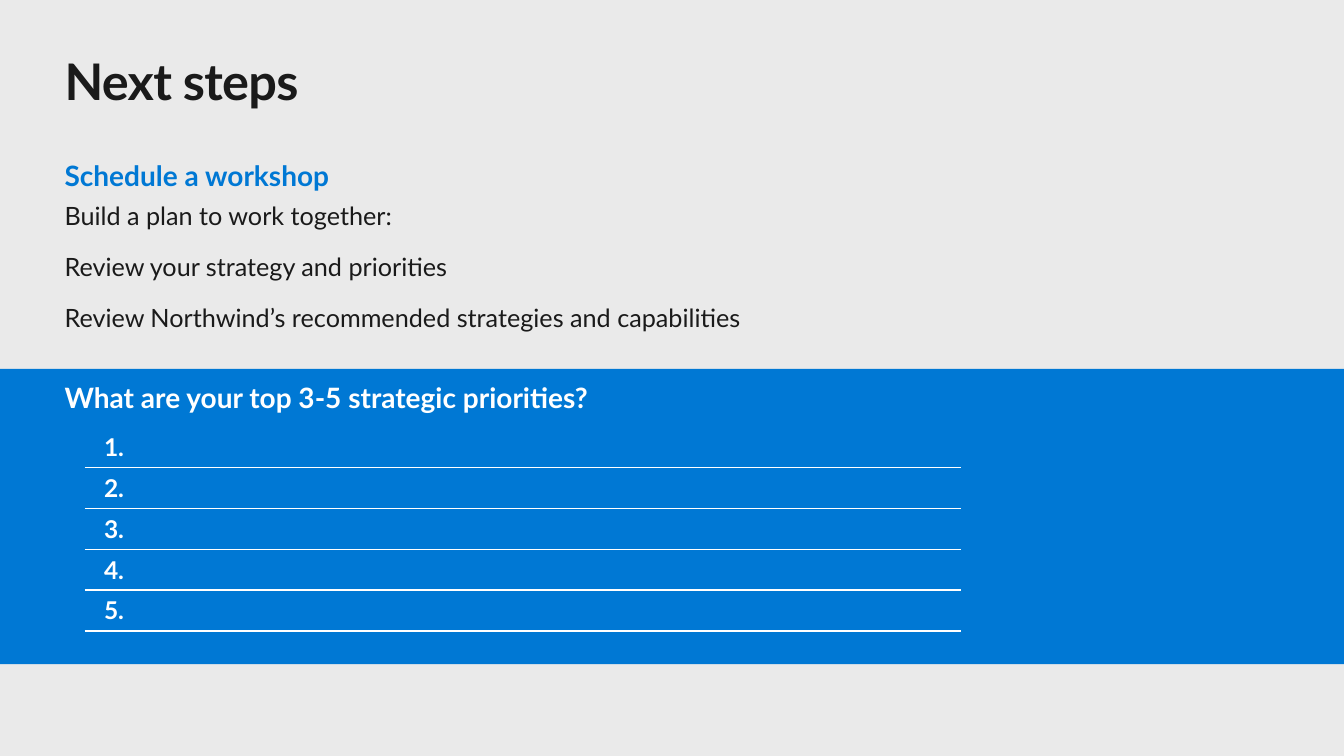
from lxml import etree
from pptx import Presentation
from pptx.dml.color import RGBColor
from pptx.enum.shapes import MSO_SHAPE
from pptx.enum.text import MSO_ANCHOR, PP_ALIGN
from pptx.oxml.ns import qn
from pptx.util import Inches, Pt

RECTANGLE = MSO_SHAPE.RECTANGLE
MIDDLE = MSO_ANCHOR.MIDDLE
RIGHT = PP_ALIGN.RIGHT

GREY = RGBColor(0xEA, 0xEA, 0xEA)
BLUE = RGBColor(0x00, 0x78, 0xD4)
DARK = RGBColor(0x1A, 0x1A, 0x1A)
WHITE = RGBColor(0xFF, 0xFF, 0xFF)

FONT = "Lato"
LEFT = 0.64
PRIORITY_COUNT = 5

# text, size, colour, bold, space before, space after
BODY = [
    ("Schedule a workshop", 20, BLUE, True, 0, 0),
    ("Build a plan to work together:", 18, DARK, False, 6, 12),
    ("Review your strategy and priorities", 18, DARK, False, 2.9, 12),
    ("Review Northwind’s recommended strategies and capabilities",
     18, DARK, False, 2.9, 30),
    ("What are your top 3-5 strategic priorities?", 20, WHITE, True, 4, 12),
]


def set_font(paragraph, size, color, bold):
    font = paragraph.font
    font.name = FONT
    font.size = Pt(size)
    font.bold = bold
    font.color.rgb = color


def add_band(slide, top, width, height):
    band = slide.shapes.add_shape(
        RECTANGLE, 0, Inches(top), width, Inches(height))
    band.shadow.inherit = False
    band.fill.solid()
    band.fill.fore_color.rgb = BLUE
    band.line.fill.background()


def add_text(slide, top, width, height, lines):
    box = slide.shapes.add_textbox(
        Inches(LEFT), Inches(top), Inches(width), Inches(height))
    frame = box.text_frame
    frame.word_wrap = True
    frame.margin_left = frame.margin_right = 0
    frame.margin_top = frame.margin_bottom = 0
    for index, (text, size, color, bold, before, after) in enumerate(lines):
        paragraph = frame.add_paragraph() if index else frame.paragraphs[0]
        paragraph.add_run().text = text
        paragraph.space_before = Pt(before)
        paragraph.space_after = Pt(after)
        set_font(paragraph, size, color, bold)
    return frame


def set_border(cell, side, color=None):
    properties = cell._tc.get_or_add_tcPr()
    line = etree.SubElement(properties, qn(f"a:{side}"), w=str(Pt(1)))
    if color is None:
        etree.SubElement(line, qn("a:noFill"))
    else:
        fill = etree.SubElement(line, qn("a:solidFill"))
        etree.SubElement(fill, qn("a:srgbClr"), val=str(color))


def add_priority_table(slide):
    shape = slide.shapes.add_table(
        PRIORITY_COUNT, 2,
        Inches(0.84), Inches(4.23), Inches(8.69), Inches(2.03))
    table = shape.table
    table.first_row = False
    table.horz_banding = False
    table.columns[0].width = Inches(0.49)
    table.columns[1].width = Inches(8.2)
    for number, row in enumerate(table.rows, start=1):
        for cell in row.cells:
            # Only the rules below the rows are drawn
            set_border(cell, "lnL")
            set_border(cell, "lnR")
            set_border(cell, "lnT", WHITE if number > 1 else None)
            set_border(cell, "lnB", WHITE)
            cell.fill.background()
            cell.vertical_anchor = MIDDLE
            set_font(cell.text_frame.paragraphs[0], 17.5, WHITE, True)
        paragraph = row.cells[0].text_frame.paragraphs[0]
        paragraph.add_run().text = f"{number}."
        paragraph.alignment = RIGHT


def main():
    presentation = Presentation()
    presentation.slide_width = Inches(13.33)
    presentation.slide_height = Inches(7.5)
    slide = presentation.slides.add_slide(presentation.slide_layouts[6])
    slide.background.fill.solid()
    slide.background.fill.fore_color.rgb = GREY

    # Blue band behind the priorities
    add_band(slide, 3.66, presentation.slide_width, 2.93)

    # Title with slightly tightened letters
    title = add_text(slide, 0.5, 12.05, 0.61,
                     [("Next steps", 36, DARK, True, 0, 0)])
    title.paragraphs[0].runs[0].font._element.set("spc", "-50")

    # Workshop steps and the question on the band
    add_text(slide, 1.57, 10.11, 3.23, BODY)

    # Numbered lines to fill in
    add_priority_table(slide)

    presentation.save("out.pptx")


if __name__ == "__main__":
    main()
